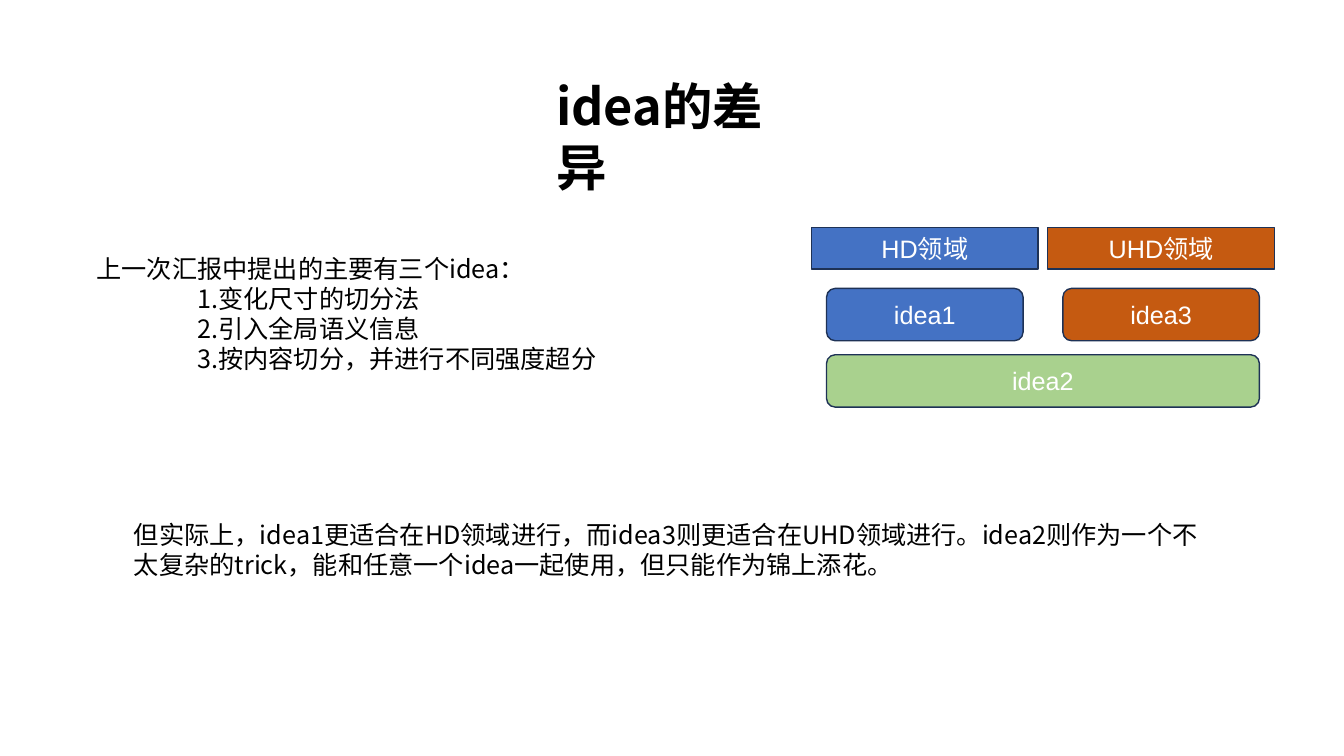
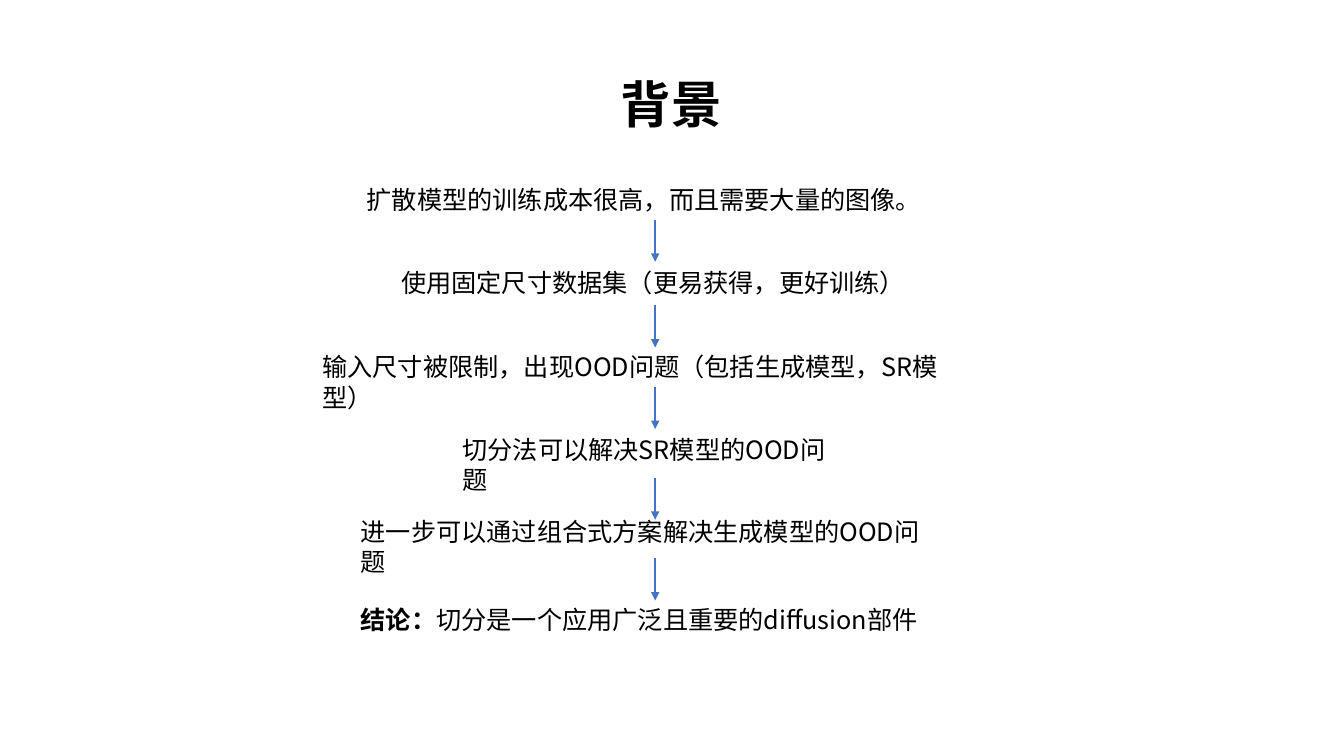
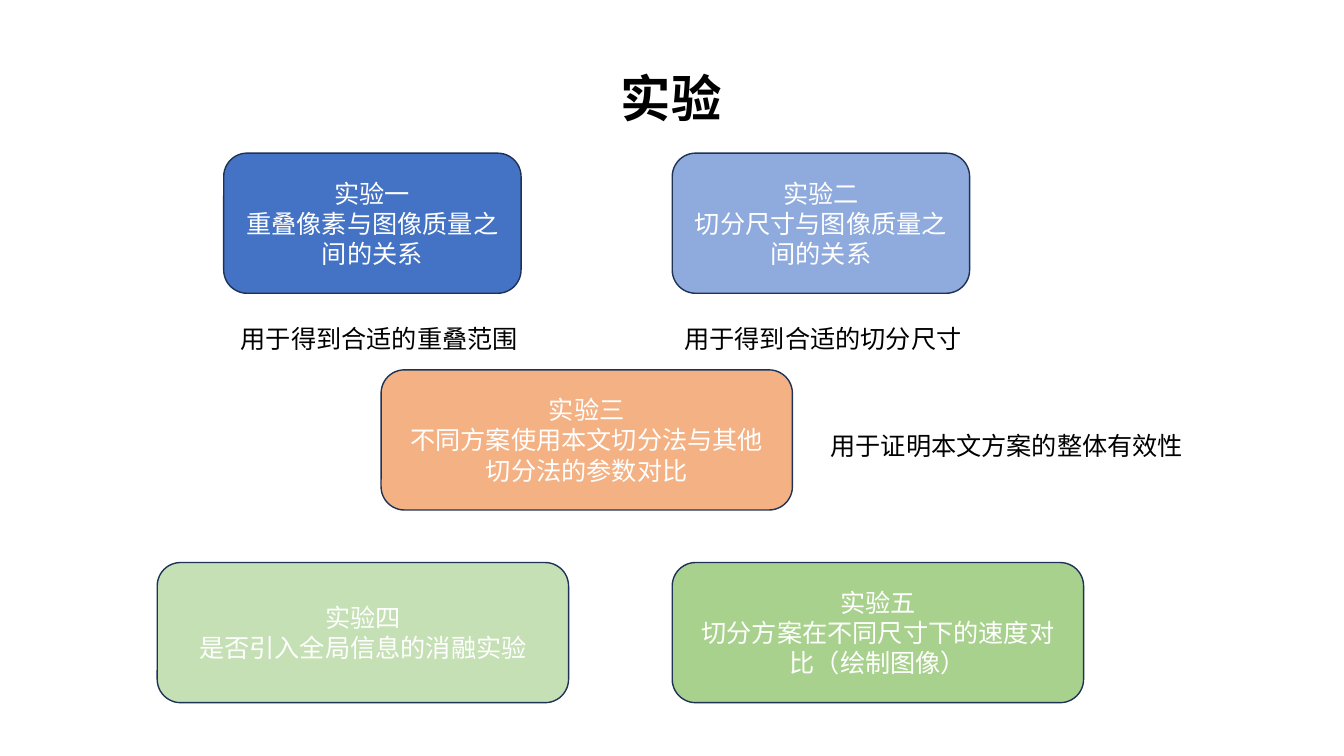
import pptx
import pptx.dml.color
import pptx.enum.shapes
import pptx.enum.text
import pptx.oxml.ns
import pptx.util
from lxml import etree

Pt = pptx.util.Pt
SHAPE = pptx.enum.shapes.MSO_SHAPE
ALIGN = pptx.enum.text.PP_ALIGN
ANCHOR = pptx.enum.text.MSO_ANCHOR
qn = pptx.oxml.ns.qn

COLORS = {
    "text": "000000",
    "white": "FFFFFF",
    "outline": "1E3256",
    "blue": "4472C4",
    "light_blue": "8FAADC",
    "rust": "C55A11",
    "orange": "F4B183",
    "green": "A9D18E",
    "light_green": "C5E0B4",
}
CJK_FONT = "Noto Sans CJK SC"
LATIN_FONT = "Arial"


def color(name):
    return pptx.dml.color.RGBColor.from_string(COLORS[name])


class Deck:
    """Holds the shared style and the slide being filled."""

    title_size = 36
    body_size = 18

    def __init__(self):
        self.presentation = pptx.Presentation()
        self.presentation.slide_width = Pt(960)
        self.presentation.slide_height = Pt(540)
        self.slide = None

    def add_slide(self, title, left, top, width):
        blank = self.presentation.slide_layouts[6]
        self.slide = self.presentation.slides.add_slide(blank)
        self.add_text(left, top, width, 51, [title], self.title_size, bold=True)

    def style_run(self, run, size, ink, latin=CJK_FONT, bold=False):
        run.font.size = Pt(size)
        run.font.bold = bold
        run.font.name = latin
        run.font.color.rgb = color(ink)
        east_asian = etree.SubElement(run.font._element, qn("a:ea"))
        east_asian.set("typeface", CJK_FONT)

    def fill_text(self, frame, lines, size, ink, latin=CJK_FONT, bold=False,
                  align=ALIGN.LEFT):
        frame.word_wrap = True
        frame.text = "\n".join(lines)
        for paragraph in frame.paragraphs:
            paragraph.alignment = align
            for run in paragraph.runs:
                self.style_run(run, size, ink, latin, bold)

    def add_text(self, left, top, width, height, lines, size=body_size, bold=False):
        box = self.slide.shapes.add_textbox(Pt(left), Pt(top), Pt(width), Pt(height))
        self.fill_text(box.text_frame, lines, size, "text", bold=bold)
        return box.text_frame

    def add_block(self, left, top, width, height, lines, fill,
                  latin=CJK_FONT, outline=SHAPE.ROUNDED_RECTANGLE):
        block = self.slide.shapes.add_shape(
            outline, Pt(left), Pt(top), Pt(width), Pt(height))
        block.shadow.inherit = False
        block.fill.solid()
        block.fill.fore_color.rgb = color(fill)
        block.line.color.rgb = color("outline")
        block.line.width = Pt(1)
        block.text_frame.vertical_anchor = ANCHOR.MIDDLE
        self.fill_text(block.text_frame, lines, self.body_size, "white", latin,
                       align=ALIGN.CENTER)

    def add_down_arrow(self, x, top, length):
        arrow = self.slide.shapes.add_connector(
            pptx.enum.shapes.MSO_CONNECTOR.STRAIGHT,
            Pt(x), Pt(top), Pt(x), Pt(top + length))
        arrow.line.color.rgb = color("blue")
        arrow.line.width = Pt(1)
        etree.SubElement(arrow.line._get_or_add_ln(), qn("a:tailEnd")).set("type", "triangle")
        etree.SubElement(arrow._element.spPr, qn("a:effectLst"))


def build_differences(deck):
    deck.add_slide("idea的差异", 390.2, 50.4, 185.8)
    ideas = deck.add_text(61.9, 177.1, 378, 94.3, [
        "上一次汇报中提出的主要有三个idea：",
        "1.变化尺寸的切分法",
        "2.引入全局语义信息",
        "3.按内容切分，并进行不同强度超分",
    ])
    for item in ideas.paragraphs[1:]:
        item._p.get_or_add_pPr().set("marL", str(Pt(72)))

    left, step, inset, idea_width = 579.6, 168.8, 10.8, 140.4
    fields = [("HD领域", "idea1", "blue"), ("UHD领域", "idea3", "rust")]
    for column, (field, idea, fill) in enumerate(fields):
        x = left + column * step
        deck.add_block(x, 162.7, 162, 29.5, [field], fill, LATIN_FONT, SHAPE.RECTANGLE)
        deck.add_block(x + inset, 206, idea_width, 37.4, [idea], fill, LATIN_FONT)
    deck.add_block(left + inset, 253.4, step + idea_width, 37.4, ["idea2"],
                   "green", LATIN_FONT)

    deck.add_text(88.6, 367.2, 788.4, 51, [
        "但实际上，idea1更适合在HD领域进行，而idea3则更适合在UHD领域进行。"
        "idea2则作为一个不太复杂的trick，能和任意一个idea一起使用，但只能作为锦上添花。"
    ])


def build_background(deck):
    deck.add_slide("背景", 436.3, 49, 87.2)
    steps = [
        (254.9, 128.2, 414.7, "扩散模型的训练成本很高，而且需要大量的图像。"),
        (279.4, 187.2, 378, "使用固定尺寸数据集（更易获得，更好训练）"),
        (223.2, 247.7, 478.1, "输入尺寸被限制，出现OOD问题（包括生成模型，SR模型）"),
        (323.3, 306.7, 277.9, "切分法可以解决SR模型的OOD问题"),
        (250.6, 365, 423.4, "进一步可以通过组合式方案解决生成模型的OOD问题"),
    ]
    for left, top, width, step in steps:
        deck.add_text(left, top, width, 28.8, [step])

    conclusion = deck.add_text(250.6, 428.4, 423.4, 28.8, ["结论："], bold=True)
    finding = conclusion.paragraphs[0].add_run()
    finding.text = "切分是一个应用广泛且重要的diffusion部件"
    deck.style_run(finding, deck.body_size, "text")

    for top in (157, 218.2, 276.5, 341.3, 398.9):
        deck.add_down_arrow(468, top, 30)


def build_experiments(deck):
    deck.add_slide("实验", 436.3, 44.6, 87.2)
    narrow, wide, height = 212.4, 293.8, 100.1
    top_row, middle_row, bottom_row = 109.4, 264.2, 401.8
    experiments = [
        (159.8, top_row, narrow, "blue", "实验一", "重叠像素与图像质量之间的关系"),
        (480.2, top_row, narrow, "light_blue", "实验二", "切分尺寸与图像质量之间的关系"),
        (272.2, middle_row, wide, "orange", "实验三",
         "不同方案使用本文切分法与其他切分法的参数对比"),
        (112.3, bottom_row, wide, "light_green", "实验四", "是否引入全局信息的消融实验"),
        (480.2, bottom_row, wide, "green", "实验五",
         "切分方案在不同尺寸下的速度对比（绘制图像）"),
    ]
    for left, top, width, fill, label, subject in experiments:
        deck.add_block(left, top, width, height, [label, subject], fill)

    purposes = [
        (164.9, 227.5, 214.6, "用于得到合适的重叠范围"),
        (481.7, 227.5, 214.6, "用于得到合适的切分尺寸"),
        (586.1, 303.8, 269.3, "用于证明本文方案的整体有效性"),
    ]
    for left, top, width, purpose in purposes:
        deck.add_text(left, top, width, 28.8, [purpose])


def main():
    deck = Deck()
    build_differences(deck)
    build_background(deck)
    build_experiments(deck)
    deck.presentation.save("out.pptx")


if __name__ == "__main__":
    main()
